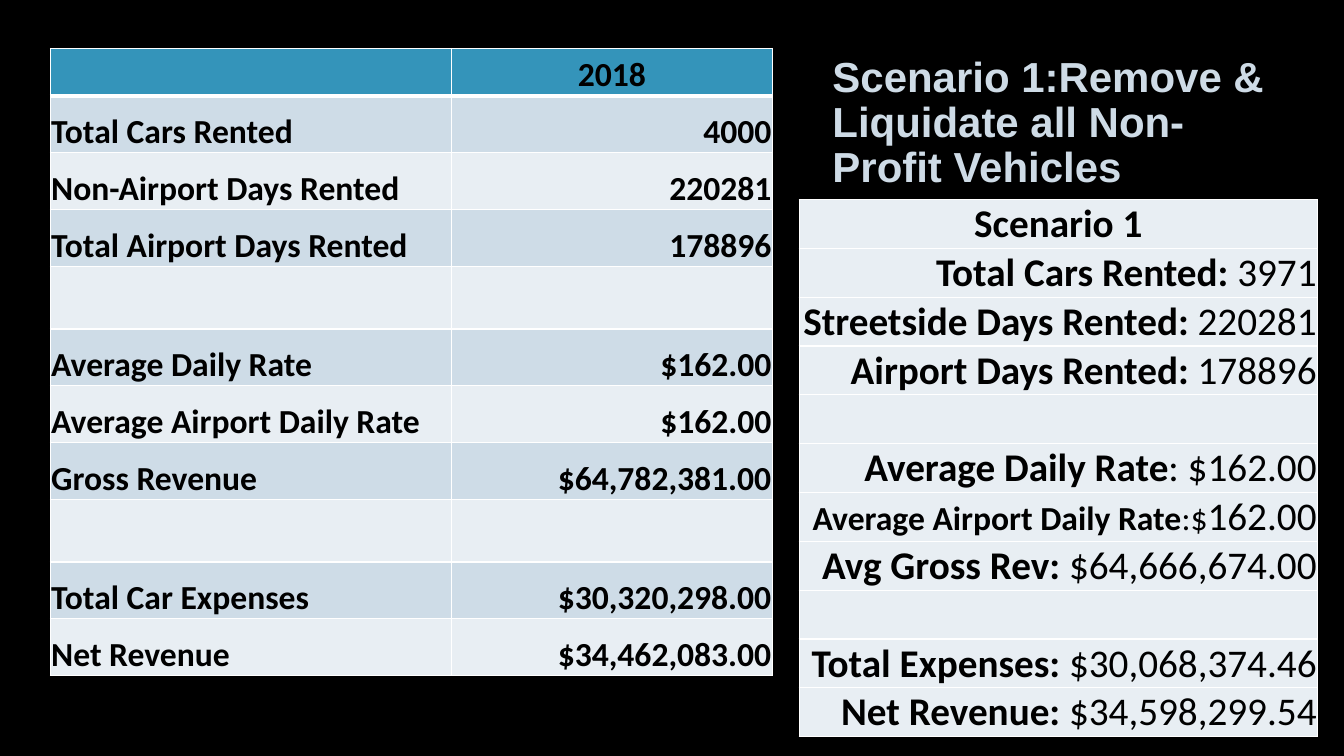
from dataclasses import dataclass

from lxml.etree import SubElement
from pptx import Presentation
from pptx.dml.color import RGBColor
from pptx.enum.text import MSO_ANCHOR, PP_ALIGN
from pptx.oxml.ns import qn
from pptx.util import Cm, Pt

BLACK, WHITE, TITLE_BLUE = "000000", "FFFFFF", "CEDBE6"
HEADER_BLUE, DARK_BAND, LIGHT_BAND = "3494BA", "CEDCE7", "E8EEF3"


@dataclass
class Span:
    text: str
    size: float = 24
    bold: bool = True


@dataclass
class Cell:
    spans: list[Span]
    fill: str
    align: PP_ALIGN = PP_ALIGN.RIGHT
    bottom_width: float = 1


@dataclass
class Grid:
    left: float
    top: float
    widths: list[float]
    heights: list[float]
    rows: list[list[Cell]]


def color(value: str) -> RGBColor:
    return RGBColor.from_string(value)


def add_line(parent, tag: str, width: float, value: str, alpha: int = 100) -> None:
    line = SubElement(parent, qn(tag), w=str(Pt(width)))
    fill = SubElement(line, qn("a:solidFill"))
    shade = SubElement(fill, qn("a:srgbClr"), val=value)
    if alpha < 100:
        SubElement(shade, qn("a:alpha"), val=str(alpha * 1000))


def style_font(font, name: str, size: float, bold: bool, value: str) -> None:
    font.name, font.size, font.bold = name, Pt(size), bold
    font.color.rgb = color(value)


def draw_cell(target, cell: Cell) -> None:
    properties = target._tc.get_or_add_tcPr()
    for side in "LRTB":
        add_line(properties, f"a:ln{side}", cell.bottom_width if side == "B" else 1, WHITE)
    target.fill.solid()
    target.fill.fore_color.rgb = color(cell.fill)
    target.vertical_anchor = MSO_ANCHOR.BOTTOM
    target.margin_left = target.margin_right = target.margin_top = Cm(0.02)
    target.margin_bottom = 0
    para = target.text_frame.paragraphs[0]
    para.alignment = cell.align
    for span in cell.spans:
        run = para.add_run()
        run.text = span.text
        style_font(run.font, "Calibri", span.size, span.bold, BLACK)


def draw_grid(page, grid: Grid) -> None:
    frame = page.shapes.add_table(
        len(grid.heights), len(grid.widths), Cm(grid.left), Cm(grid.top),
        Cm(sum(grid.widths)), Cm(sum(grid.heights)))
    table = frame.table
    table.first_row = table.horz_banding = False
    for column, width in zip(table.columns, grid.widths):
        column.width = Cm(width)
    for row, height, cells in zip(table.rows, grid.heights, grid.rows):
        row.height = Cm(height)
        for target, cell in zip(row.cells, cells):
            draw_cell(target, cell)


def draw_title(page, text: str) -> None:
    box = page.shapes.add_textbox(Cm(20.73), Cm(1.22), Cm(11.86), Cm(3.81))
    box.text_frame.word_wrap = True
    box.text_frame.vertical_anchor = MSO_ANCHOR.MIDDLE
    box.text_frame.text = text
    para = box.text_frame.paragraphs[0]
    para.line_spacing = 0.9
    span = para.runs[0]
    # The outline comes before the fill in the run properties
    add_line(span._r.get_or_add_rPr(), "a:ln", 0.75, "404040", alpha=10)
    style_font(span.font, "Arial", 30, True, TITLE_BLUE)


# Figures for 2018; an empty label is a spacer row
ACTUALS = [
    ("Total Cars Rented", "4000"),
    ("Non-Airport Days Rented", "220281"),
    ("Total Airport Days Rented", "178896"),
    ("", ""),
    ("Average Daily Rate", "$162.00"),
    ("Average Airport Daily Rate", "$162.00"),
    ("Gross Revenue", "$64,782,381.00"),
    ("", ""),
    ("Total Car Expenses", "$30,320,298.00"),
    ("Net Revenue", "$34,462,083.00"),
]

# Figures for the scenario: bold label, regular value
SCENARIO = [
    ("Total Cars Rented: ", "3971"),
    ("Streetside Days Rented: ", "220281"),
    ("Airport Days Rented: ", "178896"),
    ("", ""),
    ("Average Daily Rate", ": $162.00"),
    ("Average Airport Daily Rate", ":$162.00"),
    ("Avg Gross Rev: ", "$64,666,674.00"),
    ("", ""),
    ("Total Expenses: ", "$30,068,374.46"),
    ("Net Revenue: ", "$34,598,299.54"),
]


def spans_of(text: str) -> list[Span]:
    return [Span(text)] if text else []


def actuals_grid() -> Grid:
    rows = [[Cell(spans_of(text), HEADER_BLUE, PP_ALIGN.CENTER, 3) for text in ("", "2018")]]
    for index, (label, value) in enumerate(ACTUALS):
        band = LIGHT_BAND if index % 2 else DARK_BAND
        rows.append([Cell(spans_of(label), band, PP_ALIGN.LEFT), Cell(spans_of(value), band)])
    heights = [1.2] + [1.43 if label else 1.58 for label, _ in ACTUALS]
    return Grid(1.27, 1.22, [10.11, 8.08], heights, rows)


def scenario_spans(label: str, value: str) -> list[Span]:
    if not label:
        return []
    if label == "Average Airport Daily Rate":  # smaller, to stay on one line
        return [Span(label), Span(value[:2], bold=False), Span(value[2:], 28, False)]
    return [Span(label, 28), Span(value, 28, False)]


def scenario_grid() -> Grid:
    rows = [[Cell([Span("Scenario 1", 28)], LIGHT_BAND, PP_ALIGN.CENTER)]]
    rows += [[Cell(scenario_spans(label, value), LIGHT_BAND)] for label, value in SCENARIO]
    return Grid(20.14, 5.03, [13.06], [1.23] * len(rows), rows)


def main() -> None:
    deck = Presentation()
    deck.slide_width, deck.slide_height = Cm(33.87), Cm(19.05)
    page = deck.slides.add_slide(deck.slide_layouts[6])
    page.background.fill.solid()
    page.background.fill.fore_color.rgb = color(BLACK)

    draw_title(page, "Scenario 1:Remove & Liquidate all Non-Profit Vehicles")
    draw_grid(page, scenario_grid())
    draw_grid(page, actuals_grid())
    deck.save("out.pptx")


if __name__ == "__main__":
    main()
